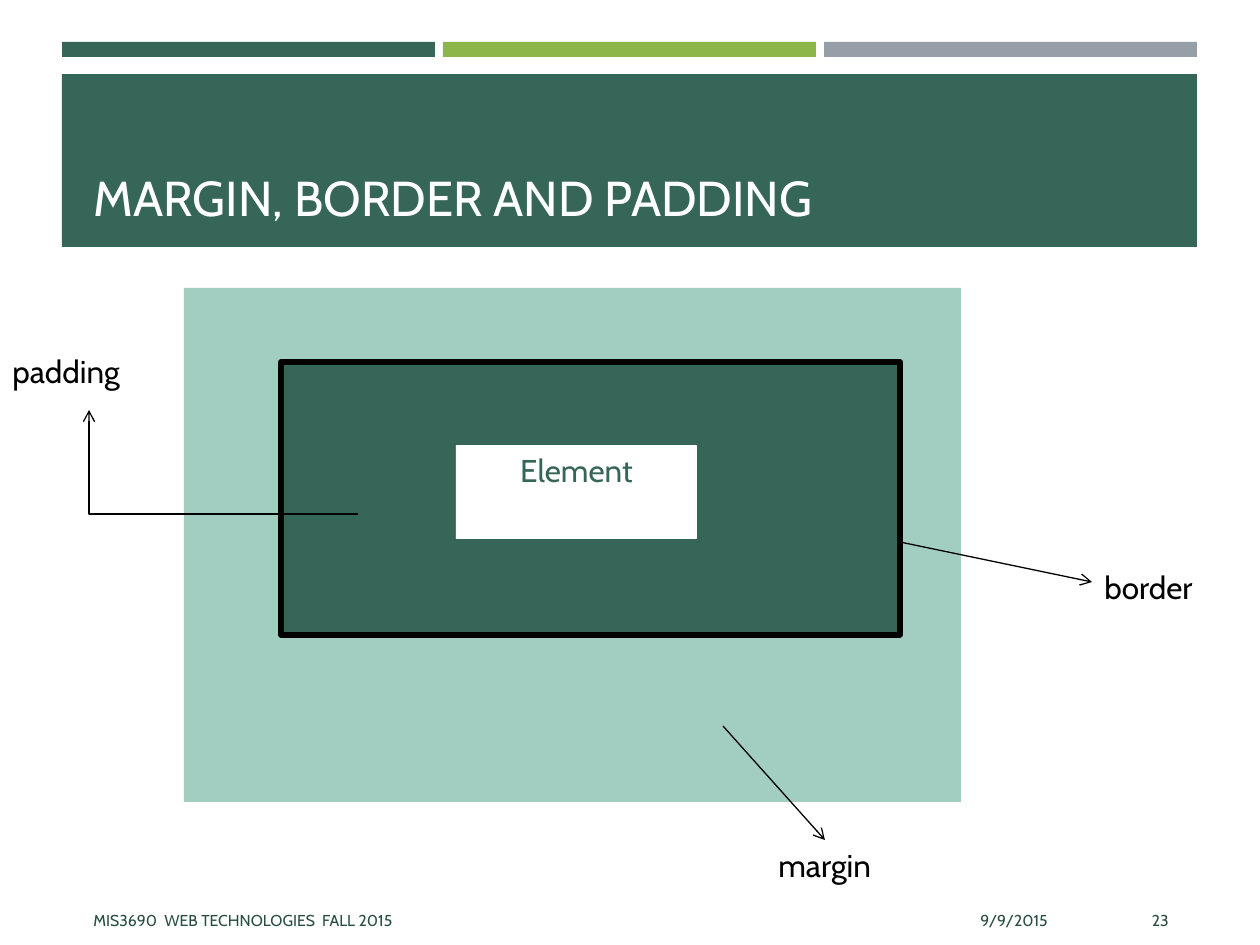
from pptx import Presentation
from pptx.dml.color import RGBColor
from pptx.enum.shapes import MSO_CONNECTOR, MSO_SHAPE
from pptx.enum.text import MSO_ANCHOR, PP_ALIGN
from pptx.oxml.ns import qn
from pptx.util import Emu, Pt
from lxml import etree

RECT = MSO_SHAPE.RECTANGLE
LINE, ELBOW = MSO_CONNECTOR.STRAIGHT, MSO_CONNECTOR.ELBOW
TOP, MID, LOW = MSO_ANCHOR.TOP, MSO_ANCHOR.MIDDLE, MSO_ANCHOR.BOTTOM
LEFT, MIDDLE, RIGHT = PP_ALIGN.LEFT, PP_ALIGN.CENTER, PP_ALIGN.RIGHT

GREEN = RGBColor(0x36, 0x66, 0x58)
LIME = RGBColor(0x8C, 0xB6, 0x4A)
GREY = RGBColor(0x96, 0x9F, 0xA7)
MINT = RGBColor(0xA2, 0xCE, 0xC1)
DARK = RGBColor(0x28, 0x4D, 0x42)
WHITE = RGBColor(0xFF, 0xFF, 0xFF)
BLACK = RGBColor(0, 0, 0)


def px(*sizes):
    return [Emu(size * 914400 // 126) for size in sizes]


class Board:
    font = "Cabin"

    def __init__(self, slide):
        self.shapes = slide.shapes

    def box(self, x, y, w, h, fill, edge=None):
        shape = self.shapes.add_shape(RECT, *px(x, y, w, h))
        shape.shadow.inherit = False
        shape.fill.solid()
        shape.fill.fore_color.rgb = fill
        if edge:
            shape.line.color.rgb = BLACK
            shape.line.width = Pt(edge)
        else:
            shape.line.fill.background()
        return shape

    def label(self, shape, words, size, color, align=LEFT, anchor=TOP):
        frame = shape.text_frame
        frame.word_wrap = True
        frame.vertical_anchor = anchor
        frame.text = words
        para = frame.paragraphs[0]
        para.alignment = align
        font = para.runs[0].font
        font.name, font.size = self.font, Pt(size)
        font.color.rgb = color

    def text(self, x, y, w, h, words, size, color, align=LEFT, anchor=TOP):
        shape = self.shapes.add_textbox(*px(x, y, w, h))
        self.label(shape, words, size, color, align, anchor)

    def arrow(self, x1, y1, x2, y2, kind=LINE):
        link = self.shapes.add_connector(kind, *px(x1, y1, x2, y2))
        link.line.color.rgb = BLACK
        link.line.width = Pt(0.75)
        props = link._element.spPr
        head = etree.SubElement(props.find(qn("a:ln")), qn("a:tailEnd"))
        head.set("type", "arrow")
        etree.SubElement(props, qn("a:effectLst"))
        return link

    def bend(self, x1, y1, x2, y2):
        # One corner: run left from the lower right, then up
        link = self.arrow(x2, y2, x1, y1, ELBOW)
        props = link._element.spPr
        props.find(qn("a:prstGeom")).set("prst", "bentConnector2")
        link.rotation = 180
        props.find(qn("a:xfrm")).set("rot", "10800000")


deck = Presentation()
deck.slide_width, deck.slide_height = px(1260, 945)
board = Board(deck.slides.add_slide(deck.slide_layouts[6]))

# Top bars and title
for i, color in enumerate((GREEN, LIME, GREY)):
    board.box(62 + 381 * i, 42, 373, 15, color)
board.box(62, 74, 1135, 173, GREEN)
board.text(81, 84, 1101, 149, "MARGIN, BORDER AND PADDING", 28, WHITE,
           anchor=LOW)

# Footer
for x, w, words, align in (
        (766, 294, "9/9/2015", RIGHT),
        (81, 672, "MIS3690  WEB TECHNOLOGIES  FALL 2015", LEFT),
        (1075, 106, "23", RIGHT)):
    board.text(x, 895, w, 50, words, 9, DARK, align, MID)

# Box model
board.box(184, 288, 777, 514, MINT)
board.box(281, 362, 619, 273, GREEN, 3)
core = board.box(456, 445, 241, 94, WHITE)
board.label(core, "Element", 18, GREEN, MIDDLE)

# Arrows and labels
board.bend(358, 514, 89, 410)
board.arrow(900, 542, 1092, 582)
board.arrow(723, 726, 825, 840)
for x, y, w, words in ((1092, 562, 147, "border"),
                       (766, 840, 262, "margin"),
                       (0, 346, 179, "padding")):
    board.text(x, y, w, 63, words, 18, BLACK)

deck.save("out.pptx")
